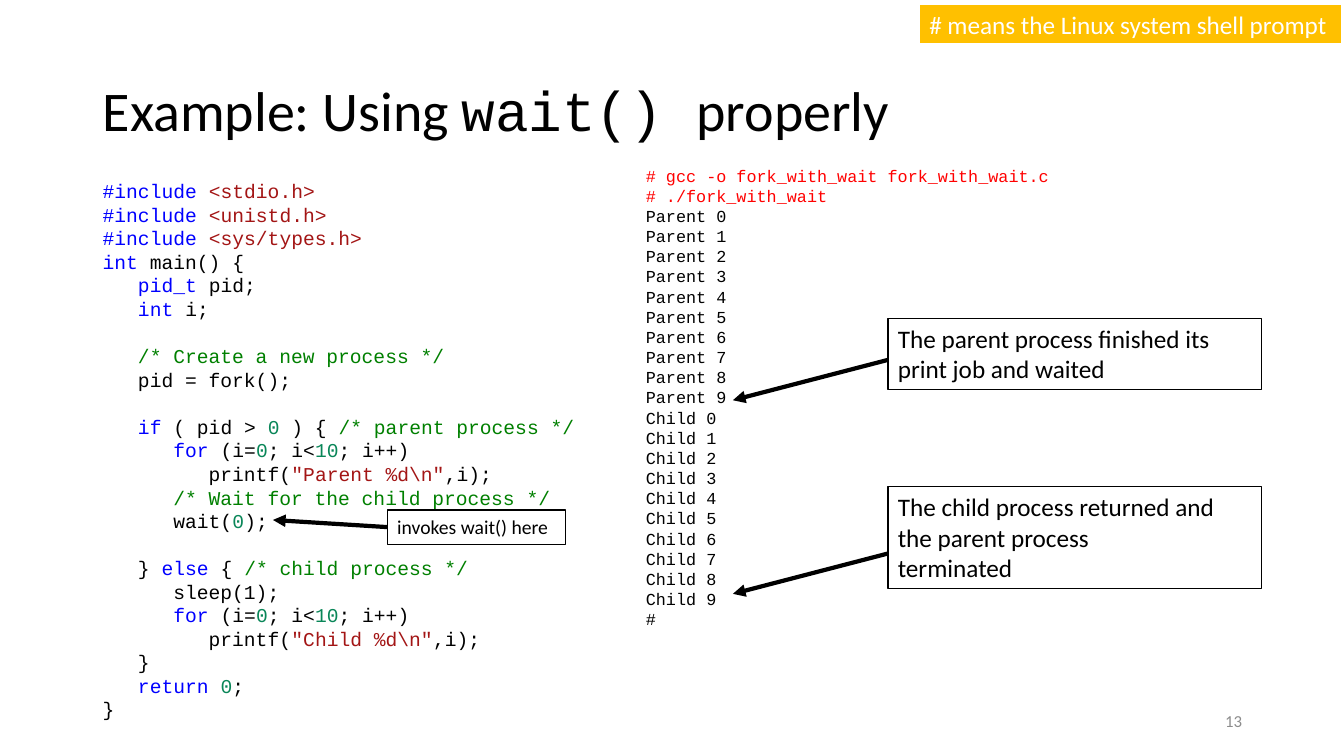
from dataclasses import dataclass

from lxml.etree import SubElement
from pptx import Presentation
from pptx.dml.color import RGBColor
from pptx.enum.shapes import MSO_CONNECTOR, MSO_SHAPE
from pptx.enum.text import MSO_ANCHOR, PP_ALIGN
from pptx.oxml.ns import qn
from pptx.util import Inches, Pt


@dataclass(frozen=True)
class Theme:
    body: str = "Calibri"
    mono: str = "Courier New"
    title: int = 40
    callout: int = 18
    code: int = 14
    output: int = 12
    code_line: float = 16.9
    thin: float = 1
    medium: float = 1.5
    thick: float = 3
    text: str = "000000"
    paper: str = "FFFFFF"
    banner: str = "FFC000"
    muted: str = "8C8C8C"
    command: str = "FF0000"
    keyword: str = "0000FF"
    string: str = "A31515"
    number: str = "098658"
    comment: str = "008000"


THEME = Theme()
COLUMNS, ROWS = 32, 18


def plain(text):
    return text, THEME.text


def keyword(text):
    return text, THEME.keyword


def string(text):
    return text, THEME.string


def number(text):
    return text, THEME.number


def comment(text):
    return text, THEME.comment


def include(header):
    return [keyword("#include "), string(f"<{header}>")]


def print_line(name):
    return [plain("         printf("), string(f'"{name} %d\\n"'), plain(",i);")]


FOR_LOOP = [keyword("      for"), plain(" (i="), number("0"), plain("; i<"),
            number("10"), plain("; i++)")]

# Each block is set off from the one before by the height of one line.
CODE_BLOCKS = [
    [
        include("stdio.h"),
        include("unistd.h"),
        include("sys/types.h"),
        [keyword("int"), plain(" main() {")],
        [keyword("   pid_t "), plain("pid;")],
        [keyword("   int "), plain("i;")],
    ],
    [
        [comment("   /* Create a new process */")],
        [plain("   pid = fork();")],
    ],
    [
        [keyword("   if"), plain(" ( pid > "), number("0"), plain(" ) { "),
         comment("/* parent process */")],
        FOR_LOOP,
        print_line("Parent"),
        [comment("      /* Wait for the child process */")],
        [plain("      wait("), number("0"), plain(");")],
    ],
    [
        [plain("   } "), keyword("else"), plain(" { "),
         comment("/* child process */")],
        [plain("      sleep(1);")],
        FOR_LOOP,
        print_line("Child"),
        [plain("   }")],
        [keyword("   return "), number("0"), plain(";")],
        [plain("}")],
    ],
]

COMMANDS = ["# gcc -o fork_with_wait fork_with_wait.c", "# ./fork_with_wait"]
PRINTED = [f"{process} {count}" for process in ("Parent", "Child")
           for count in range(10)]


class SlideBuilder:
    """Draws on one slide; places are (left, top, width, height) in grid units."""

    def __init__(self, presentation, theme):
        self.theme = theme
        self.slide = presentation.slides.add_slide(presentation.slide_layouts[6])
        self.column = presentation.slide_width / COLUMNS
        self.row = presentation.slide_height / ROWS

    def grid(self, *values):
        """Turns alternating columns and rows into lengths."""
        return [round(value * (self.row if index % 2 else self.column))
                for index, value in enumerate(values)]

    def style(self, font, size=None, color=None, name=None):
        if size:
            font.size = Pt(size)
        if name:
            font.name = name
        if color:
            font.color.rgb = RGBColor.from_string(color)

    def set_lines(self, frame, lines, size, name, anchor=MSO_ANCHOR.TOP, wrap=True):
        """Fills a frame with lines, each a list of (text, color) pieces."""
        frame.word_wrap = wrap
        frame.vertical_anchor = anchor
        for index, pieces in enumerate(lines):
            paragraph = frame.add_paragraph() if index else frame.paragraphs[0]
            paragraph.alignment = PP_ALIGN.LEFT
            same_color = len({color for _, color in pieces}) == 1
            self.style(paragraph.font, size, pieces[0][1] if same_color else None, name)
            for text, color in pieces:
                run = paragraph.add_run()
                run.text = text
                if not same_color:
                    self.style(run.font, color=color)
        return frame.paragraphs

    def text(self, place, lines, size, name, **options):
        box = self.slide.shapes.add_textbox(*self.grid(*place))
        return self.set_lines(box.text_frame, lines, size, name, **options)

    def title(self, place, pieces):
        """Sets (text, font name) pieces as the heading."""
        lines = [[(text, self.theme.text) for text, _ in pieces]]
        paragraph = self.text(place, lines, self.theme.title, None,
                              anchor=MSO_ANCHOR.MIDDLE)[0]
        paragraph.line_spacing = 0.9
        for run, (_, name) in zip(paragraph.runs, pieces):
            run.font.name = name

    def code(self, place, blocks):
        lines = [line for block in blocks for line in block]
        paragraphs = self.text(place, lines, self.theme.code, self.theme.mono,
                               wrap=False)
        start = 0
        for block in blocks[:-1]:
            start += len(block)
            paragraphs[start].space_before = Pt(self.theme.code_line)

    def box(self, place, lines, size, color, fill, line, width, wrap=True):
        shape = self.slide.shapes.add_shape(MSO_SHAPE.RECTANGLE, *self.grid(*place))
        shape.shadow.inherit = False
        shape.fill.solid()
        shape.fill.fore_color.rgb = RGBColor.from_string(fill)
        shape.line.color.rgb = RGBColor.from_string(line)
        shape.line.width = Pt(width)
        self.set_lines(shape.text_frame, [[(text, color)] for text in lines], size,
                       self.theme.body, wrap=wrap)

    def callout(self, place, lines, size):
        theme = self.theme
        self.box(place, lines, size, theme.text, theme.paper, theme.text, theme.thin)

    def arrow(self, *ends):
        connector = self.slide.shapes.add_connector(MSO_CONNECTOR.STRAIGHT,
                                                    *self.grid(*ends))
        connector.line.color.rgb = RGBColor.from_string(self.theme.text)
        connector.line.width = Pt(self.theme.thick)
        properties = connector.element.spPr
        SubElement(properties.find(qn("a:ln")), qn("a:tailEnd"), type="triangle")
        SubElement(properties, qn("a:effectLst"))


def main():
    presentation = Presentation()
    presentation.slide_width = Inches(13.33)
    presentation.slide_height = Inches(7.5)
    builder = SlideBuilder(presentation, THEME)

    output = [[(line, THEME.command)] for line in COMMANDS]
    output += [[plain(line)] for line in PRINTED + ["#"]]
    builder.text((15.14, 3.82, 16, 11.4), output, THEME.output, THEME.mono)
    builder.title((2.21, 0.96, 27.6, 3.48),
                  [("Example: Using ", THEME.body), ("wait() ", THEME.mono),
                   ("properly", THEME.body)])
    page = builder.text((22.61, 16.68, 7.2, 0.96), [[("13", THEME.muted)]],
                        THEME.output, THEME.body, anchor=MSO_ANCHOR.MIDDLE)
    page[0].alignment = PP_ALIGN.RIGHT
    builder.code((2.21, 4.15, 12.05, 13.25), CODE_BLOCKS)

    builder.callout((21.14, 7.58, 8.9, 1.7),
                    ["The parent process finished its print job and waited"],
                    THEME.callout)
    builder.callout((21.14, 11.59, 8.9, 2.42),
                    ["The child process returned and the parent process",
                     "terminated"], THEME.callout)
    builder.box((21.89, 0.1, 10.06, 0.96), ["# means the Linux system shell prompt"],
                THEME.callout, THEME.paper, THEME.banner, THEME.paper, THEME.medium,
                wrap=False)
    for top in (8.57, 13.18):
        builder.arrow(21.14, top, 17.45, top + 0.96)
    builder.callout((9.22, 12.14, 4.25, 0.82), ["invokes wait() here"], THEME.code)
    builder.arrow(9.22, 12.55, 6.5, 12.38)

    presentation.save("out.pptx")


if __name__ == "__main__":
    main()
